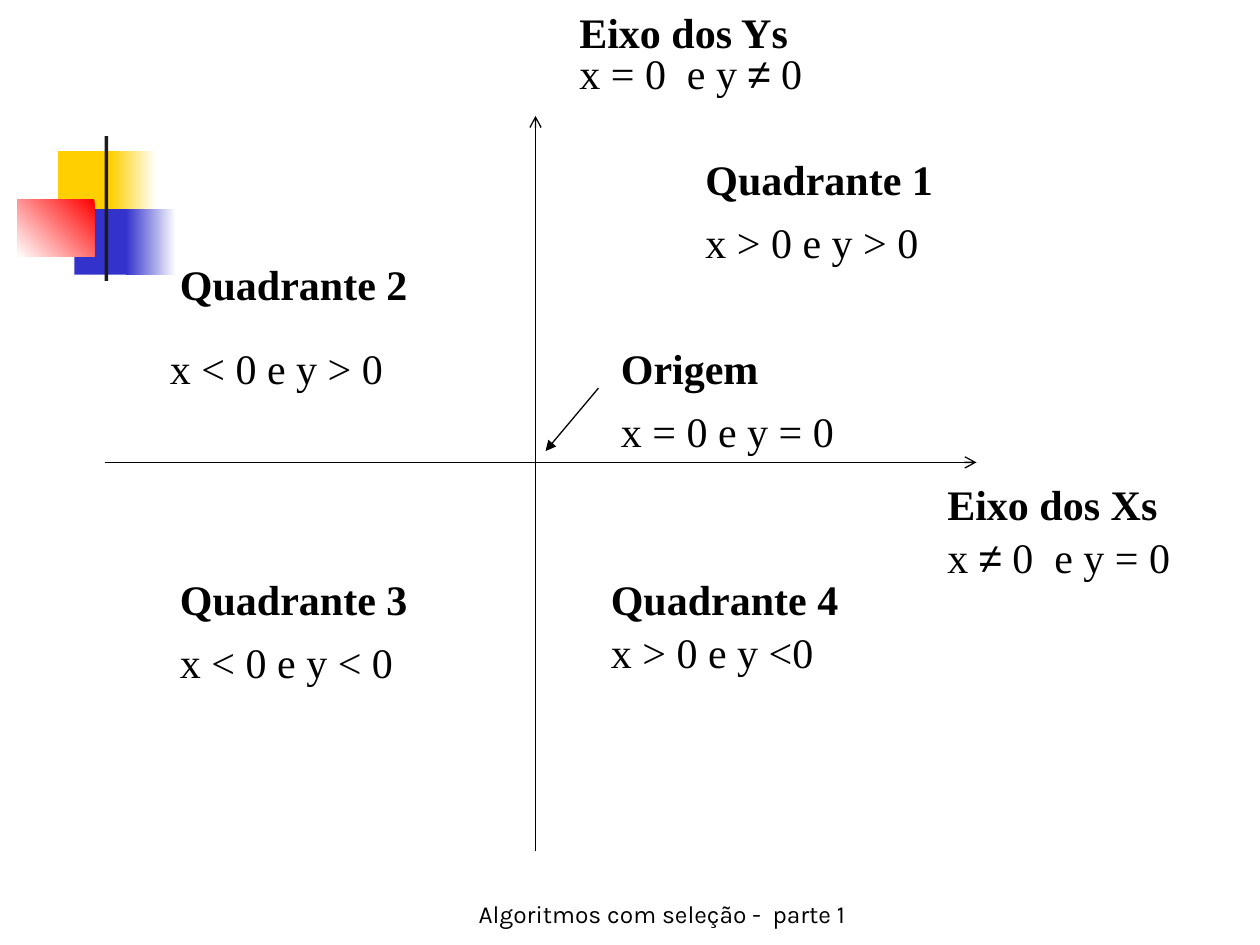
import dataclasses

import pptx
import pptx.dml.color
import pptx.enum.shapes
import pptx.enum.text
import pptx.oxml
import pptx.oxml.ns
import pptx.util
from pptx.util import Inches


@dataclasses.dataclass(frozen=True)
class Theme:
    """Colours, fonts and type sizes of the slide."""
    ink: str = "000000"
    white: str = "FFFFFF"
    yellow: str = "FFCF01"
    blue: str = "3333CC"
    red: str = "FF0000"
    bar: str = "1C1C1C"
    serif: str = "Times New Roman"
    symbol: str = "Arial"
    sans: str = "Karla"
    label_size: int = 24
    footer_size: int = 14
    line_width: float = 0.75


THEME = Theme()


def rgb(code):
    """Turn a hex code into a colour."""
    return pptx.dml.color.RGBColor.from_string(code)


def add_block(slide, left, top, width, height, colors, angle=0):
    """Add a borderless rectangle with one colour or a two-colour gradient."""
    block = slide.shapes.add_shape(
        pptx.enum.shapes.MSO_SHAPE.RECTANGLE,
        Inches(left), Inches(top), Inches(width), Inches(height))
    block.shadow.inherit = False
    block.line.fill.background()
    if len(colors) == 1:
        block.fill.solid()
        block.fill.fore_color.rgb = rgb(colors[0])
        return
    block.fill.gradient()
    block.fill.gradient_angle = angle
    for stop, color in zip(block.fill.gradient_stops, colors):
        stop.color.rgb = rgb(color)


def add_emblem(slide, left, top):
    """Draw the overlapping coloured blocks from their top-left corner."""
    blocks = (
        (0.32, 0.12, 0.48, 0.52, (THEME.yellow,), 0),
        (0.74, 0.12, 0.36, 0.52, (THEME.white, THEME.yellow), 180),
        (0.45, 0.58, 0.46, 0.52, (THEME.blue,), 0),
        (0.86, 0.58, 0.4, 0.52, (THEME.white, THEME.blue), 180),
        (0, 0.5, 0.61, 0.46, (THEME.red, THEME.white), 225),
        (0.69, 0, 0.03, 1.15, (THEME.bar,), 0),
    )
    for dx, dy, width, height, colors, angle in blocks:
        add_block(slide, left + dx, top + dy, width, height, colors, angle)


def add_arrow(slide, start, end, tip):
    """Draw a thin line with an arrowhead at its end."""
    arrow = slide.shapes.add_connector(
        pptx.enum.shapes.MSO_CONNECTOR.STRAIGHT,
        *(Inches(value) for value in (*start, *end)))
    arrow.line.color.rgb = rgb(THEME.ink)
    arrow.line.width = pptx.util.Pt(THEME.line_width)
    qn = pptx.oxml.ns.qn
    properties = arrow._element.spPr
    tail = properties.find(qn("a:ln")).makeelement(qn("a:tailEnd"), {"type": tip})
    properties.find(qn("a:ln")).append(tail)
    properties.append(properties.makeelement(qn("a:effectLst"), {}))


def add_axes(slide, left, top, width, height):
    """Draw both axes in a box, and the pointer to their crossing."""
    origin_x, origin_y = left + 3.42, top + 2.75
    add_arrow(slide, (origin_x, top + height), (origin_x, top), "arrow")
    add_arrow(slide, (left, origin_y), (left + width, origin_y), "arrow")
    add_arrow(slide, (origin_x + 0.5, origin_y - 0.59),
              (origin_x + 0.08, origin_y - 0.09), "triangle")


def add_text(slide, left, top, width, text, font_name, size, bold=None):
    """Add a one-line text box, with the inequality sign in its own font."""
    box = slide.shapes.add_textbox(
        Inches(left), Inches(top), Inches(width), Inches(0.5))
    frame = box.text_frame
    frame.word_wrap = True
    paragraph = frame.paragraphs[0]
    paragraph.font.name = font_name
    paragraph.font.size = pptx.util.Pt(size)
    paragraph.font.bold = bold
    paragraph.font.color.rgb = rgb(THEME.ink)
    for part in filter(None, text.partition("≠")):
        run = paragraph.add_run()
        run.text = part
        if part == "≠":
            run.font.name = THEME.symbol
    return frame


def add_region(slide, left, top, width, title, condition, dy=0.5, dx=0):
    """Write a bold region title and its condition below."""
    title_frame = add_text(slide, left, top, width, title,
                           THEME.serif, THEME.label_size, True)
    condition_frame = add_text(slide, left + dx, top + dy, width, condition,
                               THEME.serif, THEME.label_size)
    for frame in (title_frame, condition_frame):
        frame.auto_size = pptx.enum.text.MSO_AUTO_SIZE.SHAPE_TO_FIT_TEXT


def add_footer(slide, left, top, width):
    """Write the centred footer."""
    frame = add_text(slide, left, top, width, "Algoritmos com seleção -  parte 1",
                     THEME.sans, THEME.footer_size)
    frame.vertical_anchor = pptx.enum.text.MSO_ANCHOR.BOTTOM
    frame.paragraphs[0].alignment = pptx.enum.text.PP_ALIGN.CENTER


def main():
    """Build and save the slide."""
    deck = pptx.Presentation()
    deck.slide_width, deck.slide_height = Inches(10), Inches(7.5)
    slide = deck.slides.add_slide(deck.slide_layouts[6])
    add_emblem(slide, 0.14, 1.08)
    add_axes(slide, 0.83, 0.92, 6.92, 5.83)
    regions = (
        (5.5, 1.17, 2.25, "Quadrante 1", "x > 0 e y > 0"),
        (1.33, 2, 2.42, "Quadrante 2", "x < 0 e y > 0", 0.67, -0.08),
        (1.33, 4.5, 2.25, "Quadrante 3", "x < 0 e y < 0"),
        (4.75, 4.5, 2.67, "Quadrante 4", "x > 0 e y <0", 0.42),
        (7.42, 3.75, 2.25, "Eixo dos Xs", "x ≠ 0  e y = 0", 0.42),
        (4.5, 0, 2.67, "Eixo dos Ys", "x = 0  e y ≠ 0", 0.33),
        (4.83, 2.67, 2.33, "Origem", "x = 0 e y = 0"),
    )
    for region in regions:
        add_region(slide, *region)
    add_footer(slide, 3.67, 6.92, 3.17)
    deck.save("out.pptx")


if __name__ == "__main__":
    main()
